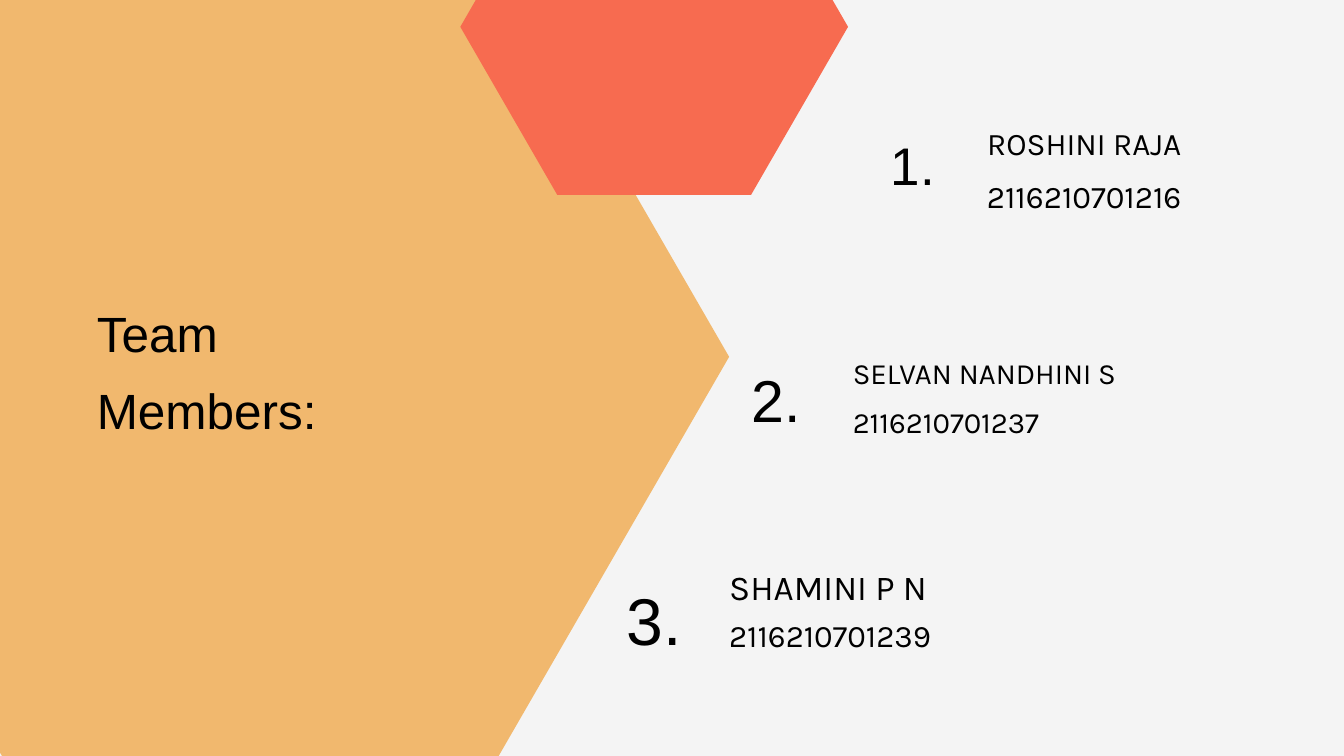
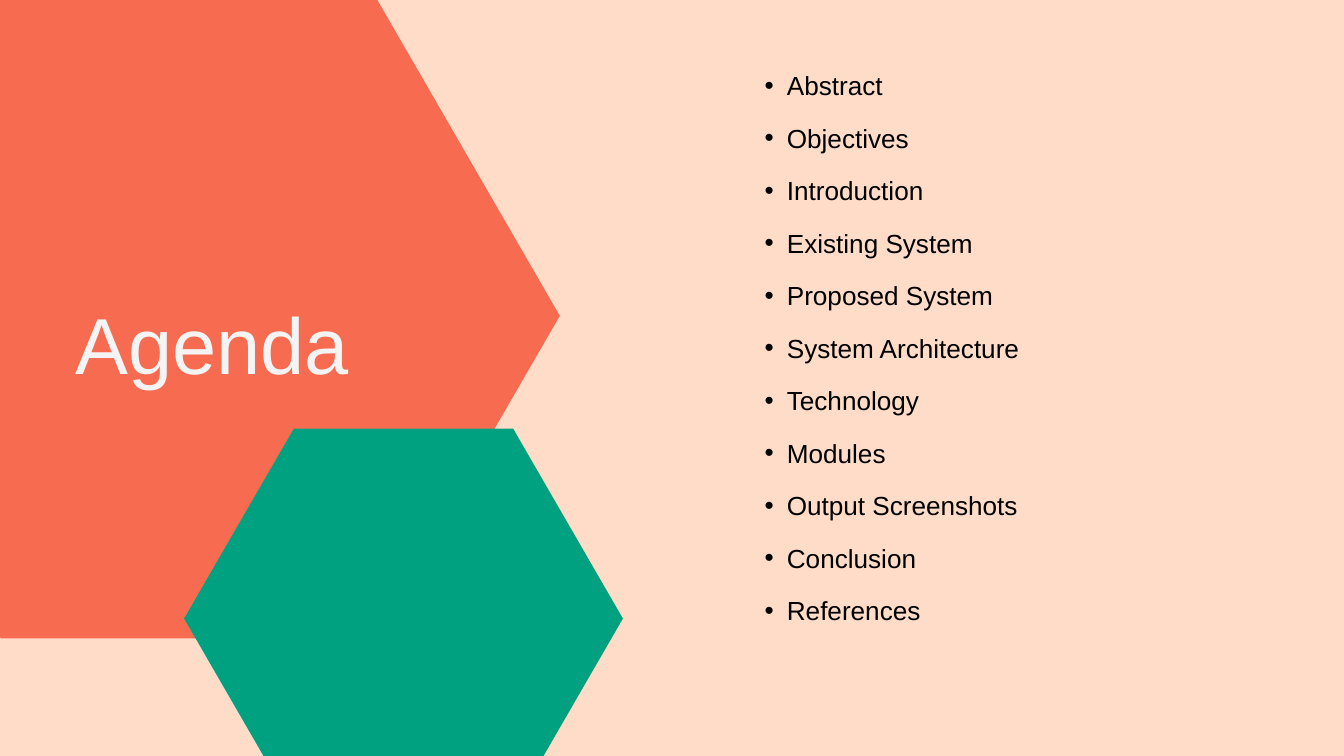
from lxml import etree
from pptx import Presentation
from pptx.dml.color import RGBColor
from pptx.enum.text import MSO_ANCHOR, MSO_AUTO_SIZE, PP_ALIGN
from pptx.oxml.ns import qn
from pptx.util import Inches, Pt

COLORS = {
    "grey": "F4F4F4", "peach": "FFDCC8", "sand": "F1B86E",
    "coral": "F76B50", "green": "00A181", "black": "000000",
}
TITLE_FONT, NAME_FONT = "Arial", "Karla"
TITLE_ONLY = 5

# Number (box, size), then the text boxes (box, size, alignment, lines)
MEMBERS = [
    ("1.", (12.11, 1.59, 2.95, 1.06), 56.7, [
        ((13.78, 1.62, 4.71, 1.27), 33.7, PP_ALIGN.CENTER,
         ["ROSHINI RAJA", "2116210701216"])]),
    ("2.", (10.31, 4.99, 2.49, 1.18), 63.3, [
        ((12.69, 5.07, 5.46, 1.18), 31.5, PP_ALIGN.LEFT,
         ["SELVAN NANDHINI S 2116210701237"])]),
    ("3.", (8.89, 8.15, 1.7, 1.33), 70.8, [
        ((10.85, 8.17, 6.58, 0.69), 37.5, PP_ALIGN.LEFT, ["SHAMINI P N"]),
        ((10.85, 8.95, 6.58, 0.61), 33.5, PP_ALIGN.LEFT, ["2116210701239"])]),
]
AGENDA = [
    "Abstract", "Objectives", "Introduction", "Existing System",
    "Proposed System", "System Architecture", "Technology", "Modules",
    "Output Screenshots", "Conclusion", "References",
]


def rgb(name):
    return RGBColor.from_string(COLORS[name])


def add_slide(prs, background):
    slide = prs.slides.add_slide(prs.slide_layouts[TITLE_ONLY])
    fill = slide.background.fill
    fill.solid()
    fill.fore_color.rgb = rgb(background)
    return slide


def add_hexagon(slide, box, color):
    """Flat-topped hexagon whose horizontal sides are half its width."""
    x, y, w, h = box
    corners = [(0, 0.5), (0.25, 0), (0.75, 0), (1, 0.5), (0.75, 1), (0.25, 1)]
    points = [(Inches(x + w * u), Inches(y + h * v)) for u, v in corners]
    builder = slide.shapes.build_freeform(*points[0])
    builder.add_line_segments(points[1:], close=True)
    sp = builder.convert_to_shape()
    sp.shadow.inherit = False
    sp.fill.solid()
    sp.fill.fore_color.rgb = rgb(color)
    sp.line.fill.background()


def add_bullet(p):
    pPr = p._p.get_or_add_pPr()
    pPr.set("marL", str(Inches(0.66)))
    pPr.set("indent", str(Inches(-0.33)))
    color = etree.SubElement(pPr, qn("a:buClr"))
    etree.SubElement(color, qn("a:srgbClr")).set("val", COLORS["black"])
    etree.SubElement(pPr, qn("a:buFont")).set("typeface", "Arial")
    etree.SubElement(pPr, qn("a:buChar")).set("char", "•")


def fill_text(sp, lines, size, font=TITLE_FONT, color="black",
              align=PP_ALIGN.LEFT, spacing=1.4, bullet=False):
    tf = sp.text_frame
    tf.word_wrap = True
    tf.auto_size = MSO_AUTO_SIZE.SHAPE_TO_FIT_TEXT
    tf.vertical_anchor = MSO_ANCHOR.TOP
    tf.margin_left = tf.margin_top = tf.margin_right = tf.margin_bottom = 0
    for i, line in enumerate(lines):
        p = tf.add_paragraph() if i else tf.paragraphs[0]
        p.alignment = align
        p.line_spacing = spacing
        p.space_before = Pt(0)
        if bullet:
            p.level = 1
            add_bullet(p)
        r = p.add_run()
        r.text = line
        r.font.size = Pt(size)
        r.font.name = font
        r.font.color.rgb = rgb(color)


def add_text(slide, box, lines, size, **style):
    sp = slide.shapes.add_textbox(*map(Inches, box))
    fill_text(sp, lines, size, **style)


def set_title(slide, box, text, size, **style):
    """Place the title and bring it in front of the hexagons."""
    title = slide.shapes.title
    title.left, title.top, title.width, title.height = map(Inches, box)
    fill_text(title, [text], size, **style)
    slide.shapes._spTree.append(title._element)


def add_member(slide, number, number_box, number_size, details):
    add_text(slide, number_box, [number], number_size, align=PP_ALIGN.CENTER)
    for box, size, align, lines in details:
        add_text(slide, box, lines, size, font=NAME_FONT, align=align)


def add_agenda_list(slide, box, items):
    x, y, w, h = box
    pitch = h / len(items)
    for i, item in enumerate(items):
        add_text(slide, (x, y + i * pitch, w, 0.53), [item], 28, bullet=True)


def build_team(prs):
    slide = add_slide(prs, "grey")
    add_hexagon(slide, (-3.4, -0.86, 14.25, 12.34), "sand")
    add_hexagon(slide, (6.85, -2.1, 5.77, 5), "coral")
    set_title(slide, (1.44, 4.24, 5.09, 1.93), "Team Members:", 53, spacing=1.3)
    for member in MEMBERS:
        add_member(slide, *member)


def build_agenda(prs):
    slide = add_slide(prs, "peach")
    add_hexagon(slide, (-2.76, -0.1, 11.09, 9.6), "coral")
    add_hexagon(slide, (2.74, 6.38, 6.53, 5.65), "green")
    set_title(slide, (1.12, 4.11, 4.88, 1.41), "Agenda", 85,
              color="grey", spacing=1.2)
    add_agenda_list(slide, (11.05, 0.85, 6.68, 8.59), AGENDA)


def main():
    prs = Presentation()
    prs.slide_width, prs.slide_height = Inches(20), Inches(11.25)
    build_team(prs)
    build_agenda(prs)
    prs.save("out.pptx")


if __name__ == "__main__":
    main()
